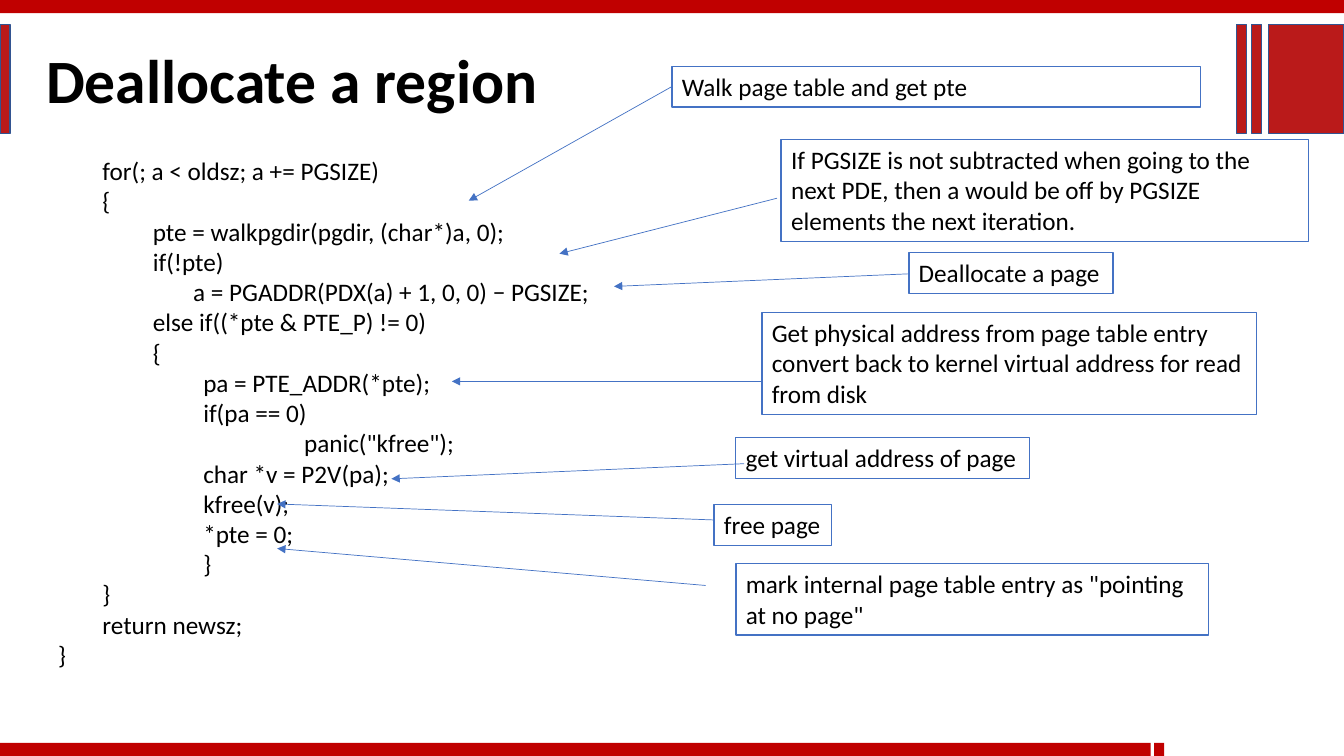
from dataclasses import dataclass

from lxml import etree
from pptx import Presentation
from pptx.dml.color import RGBColor
from pptx.enum.shapes import MSO_CONNECTOR, MSO_SHAPE
from pptx.enum.text import MSO_ANCHOR, MSO_AUTO_SIZE, PP_ALIGN
from pptx.oxml.ns import qn
from pptx.util import Inches, Pt

RECTANGLE = MSO_SHAPE.RECTANGLE
STRAIGHT = MSO_CONNECTOR.STRAIGHT
MIDDLE, TOP = MSO_ANCHOR.MIDDLE, MSO_ANCHOR.TOP
FIXED = MSO_AUTO_SIZE.NONE
LEFT = PP_ALIGN.LEFT
COLUMNS, ROWS = 160, 90
CELL = Inches(1) // 12


@dataclass(frozen=True)
class Theme:
    """Colours, font and type sizes of the deck."""
    band: RGBColor = RGBColor.from_string("C00000")
    mark: RGBColor = RGBColor.from_string("BA1A1A")
    mark_edge: RGBColor = RGBColor.from_string("325491")
    accent: RGBColor = RGBColor.from_string("4472C4")
    paper: RGBColor = RGBColor.from_string("FFFFFF")
    ink: RGBColor = RGBColor.from_string("000000")
    font: str = "Calibri"
    title: Pt = Pt(44)
    text: Pt = Pt(18)


@dataclass(frozen=True)
class Box:
    """An area of the page, in grid columns and rows."""
    left: float
    top: float
    width: float
    height: float

    def inner(self, left, top, width, height):
        """Return a box placed relative to this one."""
        return Box(self.left + left, self.top + top, width, height)

    def lengths(self):
        """Return left, top, width and height as slide lengths."""
        return [int(value * CELL) for value in
                (self.left, self.top, self.width, self.height)]


THEME = Theme()
TITLE_FONT = {"name": THEME.font, "size": THEME.title, "bold": True}
TEXT_FONT = {"name": THEME.font, "size": THEME.text, "bold": False}
TITLE_FRAME = {"word_wrap": True, "auto_size": FIXED, "vertical_anchor": MIDDLE}
CODE_FRAME = {"word_wrap": True, "auto_size": FIXED, "vertical_anchor": TOP}
PARAGRAPH = {"alignment": LEFT, "space_before": Pt(0), "space_after": Pt(0)}

# Indent in inches, line of code
CODE = [
    (0.5, "for(; a < oldsz; a += PGSIZE)"),
    (0.5, "{"),
    (1, "pte = walkpgdir(pgdir, (char*)a, 0);"),
    (1, "if(!pte)"),
    (1.4, "a = PGADDR(PDX(a) + 1, 0, 0) − PGSIZE;"),
    (1, "else if((*pte & PTE_P) != 0)"),
    (1, "{"),
    (1.5, "pa = PTE_ADDR(*pte);"),
    (1.5, "if(pa == 0)"),
    (2.5, "panic(\"kfree\");"),
    (1.5, "char *v = P2V(pa);"),
    (1.5, "kfree(v);"),
    (1.5, "*pte = 0;"),
    (1.5, "}"),
    (0.5, "}"),
    (0.5, "return newsz;"),
    (0.06, "}"),
]

# Left, top, width, lines of text, arrow start, arrow end, wording
CALLOUTS = [
    (80, 7.9, 62.9, 1, (80, 10.3), (55.8, 23.9), "Walk page table and get pte"),
    (93, 16.6, 62.8, 3, (92.5, 23.6), (66.6, 30.2),
     "If PGSIZE is not subtracted when going to the next PDE, "
     "then a would be off by PGSIZE elements the next iteration."),
    (108.2, 30.1, 24.3, 1, (108.2, 32.6), (73.1, 34.1), "Deallocate a page"),
    (90.7, 37.2, 58.9, 3, (90.7, 45.4), (53.8, 45.4),
     "Get physical address from page table entry convert back "
     "to kernel virtual address for read from disk"),
    (87.6, 52.1, 35, 1, (88.6, 55.2), (46.6, 57), "get virtual address of page"),
    (85, 60.1, 14, 1, (85, 61.9), (33, 60), "free page"),
    (87.6, 67.1, 56.3, 2, (84, 69.7), (33, 65.3),
     "mark internal page table entry as \"pointing at no page\""),
]


def apply(target, values):
    """Set each attribute of target from a dict of format values."""
    for name, value in values.items():
        setattr(target, name, value)


def write(para, text, font):
    """Write one left-aligned run into a paragraph."""
    apply(para, PARAGRAPH)
    span = para.add_run()
    span.text = text
    apply(span.font, font)
    span.font.color.rgb = THEME.ink


def place(shape, box):
    """Move a placeholder to a box."""
    names = ("left", "top", "width", "height")
    apply(shape, dict(zip(names, box.lengths())))


def add_block(page, box, fill, edge=None):
    """Add a flat rectangle, outlined when an edge colour is given."""
    block = page.shapes.add_shape(RECTANGLE, *box.lengths())
    block.shadow.inherit = False
    block.fill.solid()
    block.fill.fore_color.rgb = fill
    if edge is None:
        block.line.fill.background()
    else:
        block.line.color.rgb = edge
        block.line.width = Pt(1)
    return block


def add_arrow(page, box, start, end):
    """Draw a thin arrow between two points of a box."""
    ends = [box.inner(*point, 0, 0).lengths()[:2] for point in (start, end)]
    arrow = page.shapes.add_connector(STRAIGHT, *ends[0], *ends[1])
    arrow.line.color.rgb = THEME.accent
    arrow.line.width = Pt(0.5)
    head = etree.SubElement(arrow.line._get_or_add_ln(), qn("a:tailEnd"))
    head.set("type", "triangle")
    etree.SubElement(arrow._element.spPr, qn("a:effectLst"))


def add_decoration(page, box):
    """Add the red bands at the edges and the marks beside the title."""
    band = 1.56
    floor = box.height - band
    for left, top, width in ((0, 0, box.width), (0, floor, 137), (137.4, floor, 1.2)):
        add_block(page, box.inner(left, top, width, band), THEME.band)
    for left, width in ((0, 1.2), (147.2, 1.2), (149, 1.2), (151, 9)):
        add_block(page, box.inner(left, 2.9, width, 13), THEME.mark, THEME.mark_edge)


def fill_title(page, box, text):
    """Put the heading into the title placeholder."""
    title = page.shapes.title
    place(title, box)
    apply(title.text_frame, TITLE_FRAME)
    write(title.text_frame.paragraphs[0], text, TITLE_FONT)


def fill_code(page, box, lines):
    """Put the indented code into the body placeholder."""
    body = page.placeholders[1]
    place(body, box)
    frame = body.text_frame
    apply(frame, CODE_FRAME)
    for number, (indent, text) in enumerate(lines):
        para = frame.add_paragraph() if number else frame.paragraphs[0]
        write(para, text, TEXT_FONT)
        properties = para._p.get_or_add_pPr()
        properties.set("marL", str(Inches(indent)))
        properties.set("indent", "0")
        etree.SubElement(properties, qn("a:buNone"))


def add_callouts(page, box, callouts):
    """Add the outlined remarks, each with an arrow to its line of code."""
    for left, top, width, lines, start, end, text in callouts:
        area = box.inner(left, top, width, 1.2 + 3.64 * lines)
        frame = add_block(page, area, THEME.paper, THEME.accent).text_frame
        apply(frame, {"word_wrap": lines > 1, "vertical_anchor": TOP})
        write(frame.paragraphs[0], text, TEXT_FONT)
        add_arrow(page, box, start, end)


def build_code_page(deck, box):
    """Build the slide of code with remarks."""
    page = deck.slides.add_slide(deck.slide_layouts[1])
    add_decoration(page, box)
    fill_title(page, box.inner(4.3, 4.3, 69, 10.1), "Deallocate a region")
    fill_code(page, box.inner(5, 17.9, 109.4, 63), CODE)
    add_callouts(page, box, CALLOUTS)


deck = Presentation()
deck.slide_width, deck.slide_height = COLUMNS * CELL, ROWS * CELL
build_code_page(deck, Box(0, 0, COLUMNS, ROWS))
deck.save("out.pptx")
